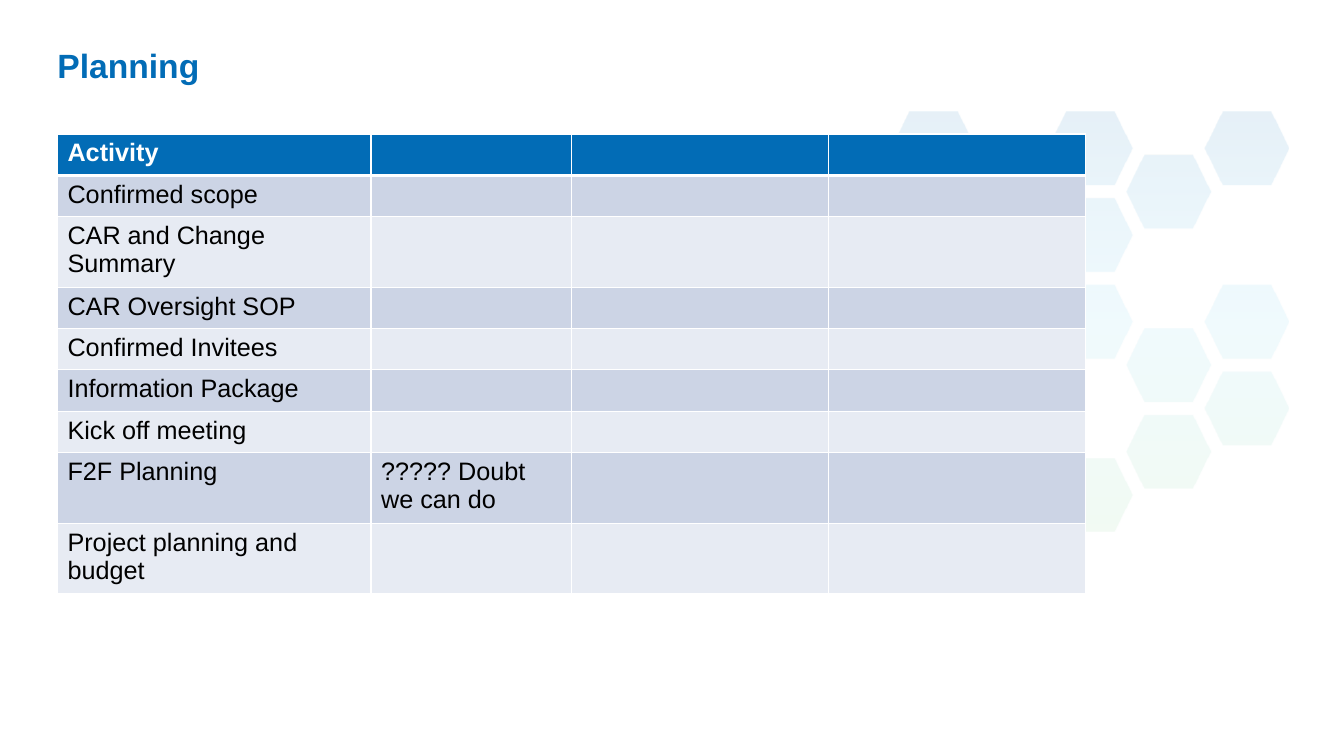
from lxml import etree
from pptx import Presentation, util as u
from pptx.dml.color import RGBColor
from pptx.enum import shapes, text
from pptx.oxml import parse_xml
from pptx.oxml.ns import nsdecls, qn

# Content
TITLE = "Planning"
ROWS = [
    ("Activity", ""),
    ("Confirmed scope", ""),
    ("CAR and Change Summary", ""),
    ("CAR Oversight SOP", ""),
    ("Confirmed Invitees", ""),
    ("Information Package", ""),
    ("Kick off meeting", ""),
    ("F2F Planning", "????? Doubt we can do"),
    ("Project planning and budget", ""),
]
COLUMN_WIDTHS = (311, 199, 255, 255)
ROW_HEIGHT = 41

# Honeycomb: (column, row) of every hexagon
HEXAGONS = [
    (2, 0), (4, 0), (6, 0), (3, 1), (5, 1), (0, 2), (2, 2), (4, 2), (1, 3),
    (3, 3), (4, 4), (6, 4), (3, 5), (5, 5), (2, 6), (6, 6), (5, 7), (4, 8),
]
HONEYCOMB = (729, 111, 549, 416)
HEX_WIDTH, HEX_HEIGHT, HEX_SLANT = 84, 73, 18

COLORS = {
    "blue": "026CB6", "cyan": "13B5EA", "green": "39B54A", "white": "FFFFFF",
    "black": "000000", "dark band": "CCD4E5", "light band": "E7EBF3",
}
GRADIENT = [(0, "blue", 100), (50, "cyan", 64), (100, "green", 66)]
FONT = "Arial"
EMU_PER_PX = 9144  # 100 px to the inch


def px(*lengths):
    return [u.Emu(round(length * EMU_PER_PX)) for length in lengths]


def rgb(name):
    return RGBColor.from_string(COLORS[name])


def set_font(paragraph, size, color, bold):
    font = paragraph.font
    font.name, font.size, font.bold = FONT, u.Pt(size), bold
    font.color.rgb = rgb(color)


def add_border(cell, side, points):
    cell._tc.get_or_add_tcPr().append(parse_xml(
        f'<a:ln{side} {nsdecls("a")} w="{u.Pt(points)}"><a:solidFill>'
        f'<a:srgbClr val="{COLORS["white"]}"/></a:solidFill></a:ln{side}>'))


def add_honeycomb(slide):
    left, top, width, height = HONEYCOMB
    column_step = (width - HEX_WIDTH) / max(column for column, _ in HEXAGONS)
    row_step = (height - HEX_HEIGHT) / max(row for _, row in HEXAGONS)
    builder = None
    for column, row in HEXAGONS:
        x, y = left + column * column_step, top + row * row_step
        right, middle, bottom = x + HEX_WIDTH, y + HEX_HEIGHT / 2, y + HEX_HEIGHT
        corners = [tuple(px(*corner)) for corner in (
            (x + HEX_SLANT, y), (right - HEX_SLANT, y), (right, middle),
            (right - HEX_SLANT, bottom), (x + HEX_SLANT, bottom), (x, middle))]
        if builder is None:
            builder = slide.shapes.build_freeform(*corners[0])
        else:
            builder.move_to(*corners[0])
        builder.add_line_segments(corners[1:], close=True)
    shape = builder.convert_to_shape()
    shape.shadow.inherit = False
    shape.line.fill.background()
    shape.fill.gradient()
    shape.fill.gradient_angle = 270
    stops = shape._element.spPr.find(qn("a:gradFill")).find(qn("a:gsLst"))
    for stop in list(stops):
        stops.remove(stop)
    for position, name, opacity in GRADIENT:
        stop = etree.SubElement(stops, qn("a:gs"), pos=str(position * 1000))
        color = etree.SubElement(stop, qn("a:srgbClr"), val=COLORS[name])
        etree.SubElement(color, qn("a:alpha"), val=str(opacity * 1000))


def add_veil(slide):
    veil = slide.shapes.add_shape(shapes.MSO_SHAPE.RECTANGLE, *px(0, 90, 1333, 605))
    veil.shadow.inherit = False
    veil.line.fill.background()
    veil.fill.solid()
    veil.fill.fore_color.rgb = rgb("white")
    color = veil._element.spPr.find(qn("a:solidFill"))[0]
    etree.SubElement(color, qn("a:alpha"), val="90000")


def add_title(slide):
    frame = slide.shapes.add_textbox(*px(57, 44, 945, 46)).text_frame
    frame.word_wrap = True
    frame.margin_left = frame.margin_right = 0
    frame.vertical_anchor = text.MSO_ANCHOR.MIDDLE
    paragraph = frame.paragraphs[0]
    paragraph.text = TITLE
    paragraph.line_spacing = 0.9
    set_font(paragraph, 24, "blue", True)


def add_activity_table(slide):
    size = px(57, 133, sum(COLUMN_WIDTHS), ROW_HEIGHT * len(ROWS))
    table = slide.shapes.add_table(len(ROWS), len(COLUMN_WIDTHS), *size).table
    for column, width in zip(table.columns, px(*COLUMN_WIDTHS)):
        column.width = width
    for index, row in enumerate(table.rows):
        row.height = px(ROW_HEIGHT)[0]
        header = index == 0
        band = "blue" if header else "dark band" if index % 2 else "light band"
        for column, cell in enumerate(row.cells):
            for side in "LRTB":
                thick = (index, side) in ((0, "B"), (1, "T"))
                add_border(cell, side, 3 if thick else 1)
            cell.fill.solid()
            cell.fill.fore_color.rgb = rgb(band)
            if column < len(ROWS[index]) and ROWS[index][column]:
                paragraph = cell.text_frame.paragraphs[0]
                paragraph.text = ROWS[index][column]
                set_font(paragraph, 18, "white" if header else "black", header)


def main():
    presentation = Presentation()
    presentation.slide_width, presentation.slide_height = px(1333, 750)
    slide = presentation.slides.add_slide(presentation.slide_layouts[6])
    add_honeycomb(slide)
    add_veil(slide)
    add_title(slide)
    add_activity_table(slide)
    presentation.save("out.pptx")


if __name__ == "__main__":
    main()
